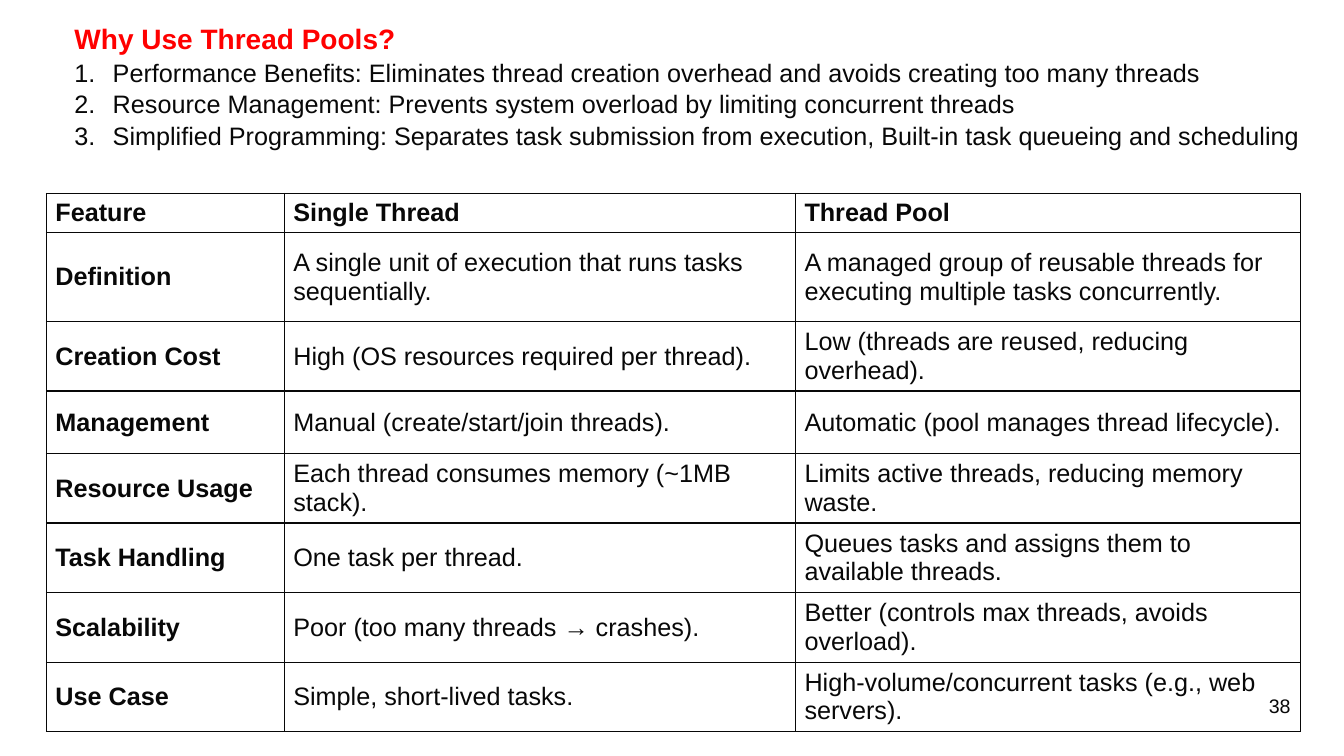
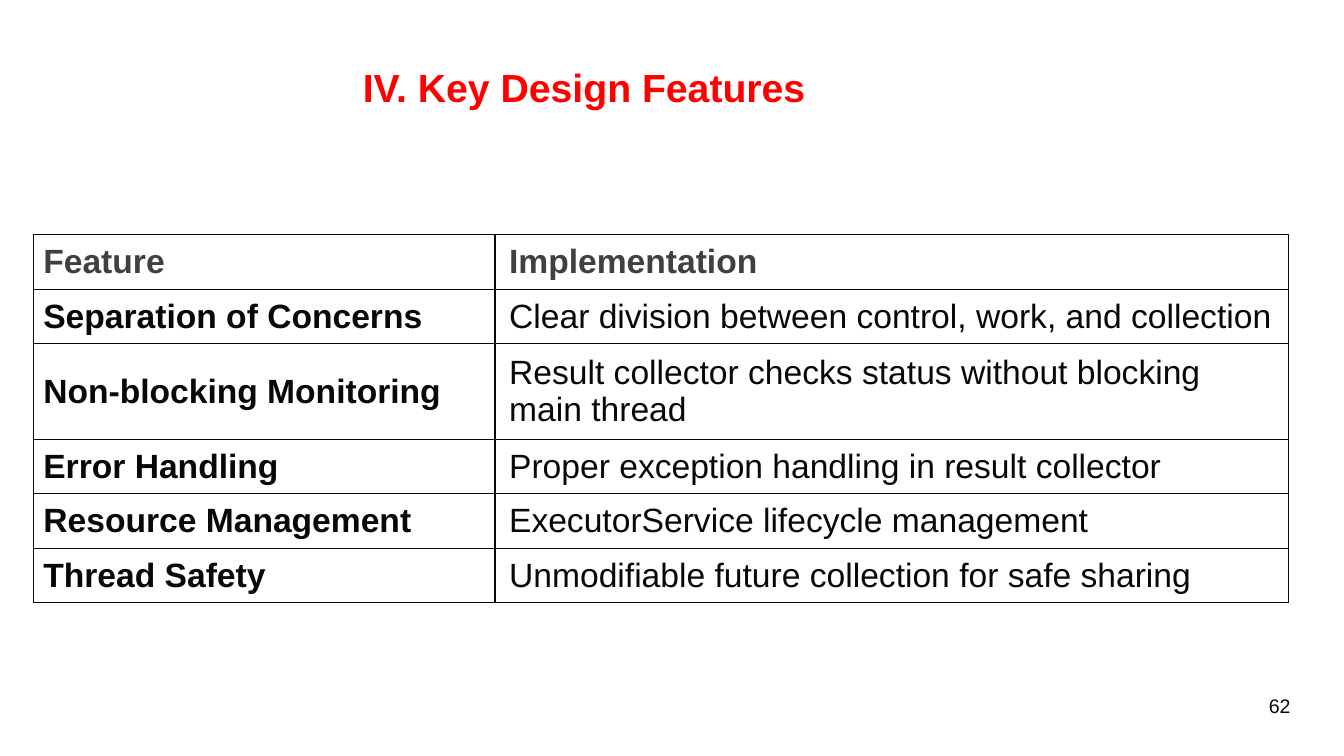
"""Build two slides on thread pools and their design features."""
from lxml.etree import SubElement
from pptx import Presentation
from pptx.dml.color import RGBColor
from pptx.enum.text import MSO_ANCHOR as Anchor, MSO_AUTO_SIZE as AutoSize, PP_ALIGN as Align
from pptx.oxml.ns import qn
from pptx.util import Inches, Pt

WIDTH, HEIGHT = 13.33, 7.5
INK, RED, GREY, WHITE = "080808", "FF0000", "404040", "FFFFFF"
FONT = "Arial"
NUMBER_AREA = (9.56, 6.83, 3.34, 0.52)

REASONS = {
    "area": (0.64, 0.15, 12.44, 1.35),
    "title": "Why Use Thread Pools?",
    "items": [
        "Performance Benefits: Eliminates thread creation overhead and avoids creating too many threads",
        "Resource Management: Prevents system overload by limiting concurrent threads",
        "Simplified Programming: Separates task submission from execution, "
        "Built-in task queueing and scheduling",
    ],
}
COMPARISON = {
    "at": (0.46, 1.92),
    "columns": [2.36, 5.07, 5.01],
    "heights": [0.39, 0.88, 0.69, 0.62] + [0.69] * 4,
    "size": 18,
    "header": INK,
    "margins": [(0.09, 0.04, 0.09, 0.04)] * 3,
    "rows": [
        ("Feature", "Single Thread", "Thread Pool"),
        ("Definition", "A single unit of execution that runs tasks sequentially.",
         "A managed group of reusable threads for executing multiple tasks concurrently."),
        ("Creation Cost", "High (OS resources required per thread).",
         "Low (threads are reused, reducing overhead)."),
        ("Management", "Manual (create/start/join threads).",
         "Automatic (pool manages thread lifecycle)."),
        ("Resource Usage", "Each thread consumes memory (~1MB stack).",
         "Limits active threads, reducing memory waste."),
        ("Task Handling", "One task per thread.",
         "Queues tasks and assigns them to available threads."),
        ("Scalability", "Poor (too many threads → crashes).",
         "Better (controls max threads, avoids overload)."),
        ("Use Case", "Simple, short-lived tasks.",
         "High-volume/concurrent tasks (e.g., web servers)."),
    ],
}
FEATURES_TITLE = ("IV. Key Design Features", (3.5, 0.58, 4.64, 0.57))
FEATURES = {
    "at": (0.33, 2.33),
    "columns": [4.58, 7.87],
    "heights": [0.54, 0.54, 0.95, 0.54, 0.54, 0.54],
    "size": 24,
    "header": GREY,
    "margins": [(0.1, 0.07, 0.14, 0.07), (0.14, 0.07, 0.14, 0.07)],
    "rows": [
        ("Feature", "Implementation"),
        ("Separation of Concerns", "Clear division between control, work, and collection"),
        ("Non-blocking Monitoring", "Result collector checks status without blocking main thread"),
        ("Error Handling", "Proper exception handling in result collector"),
        ("Resource Management", "ExecutorService lifecycle management"),
        ("Thread Safety", "Unmodifiable future collection for safe sharing"),
    ],
}


def colour(value):
    return RGBColor.from_string(value)


def apply(target, values):
    for name, value in values.items():
        setattr(target, name, value)


def write(para, text, size, ink=INK, bold=False):
    span = para.add_run()
    span.text = text
    apply(span.font, {"name": FONT, "size": Pt(size), "bold": bold})
    span.font.color.rgb = colour(ink)


def add_box(page, area, wrap=True):
    frame = page.shapes.add_textbox(*map(Inches, area)).text_frame
    apply(frame, {"word_wrap": wrap, "auto_size": AutoSize.NONE})
    return frame


def add_title(frame, text, size):
    write(frame.paragraphs[0], text, size, RED, True)


def number_item(para):
    props = para._p.get_or_add_pPr()
    apply_indent = {"marL": Inches(0.38), "indent": -Inches(0.38)}
    for name, value in apply_indent.items():
        props.set(name, str(value))
    SubElement(props, qn("a:buFont"), typeface=FONT)
    SubElement(props, qn("a:buAutoNum"), type="arabicPeriod")


def add_borders(cell):
    props = cell._tc.get_or_add_tcPr()
    for index, side in enumerate(("lnL", "lnR", "lnT", "lnB")):
        line = props.makeelement(qn(f"a:{side}"), {"w": str(Pt(1))})
        fill = SubElement(line, qn("a:solidFill"))
        SubElement(fill, qn("a:srgbClr"), val=INK)
        props.insert(index, line)


def add_grid(page, grid):
    rows, columns, heights = grid["rows"], grid["columns"], grid["heights"]
    area = (*grid["at"], sum(columns), sum(heights))
    table = page.shapes.add_table(len(rows), len(columns), *map(Inches, area)).table
    for column, width in zip(table.columns, columns):
        column.width = Inches(width)
    for row, height in zip(table.rows, heights):
        row.height = Inches(height)
    sides = ("margin_left", "margin_top", "margin_right", "margin_bottom")
    for r, texts in enumerate(rows):
        for c, text in enumerate(texts):
            cell = table.cell(r, c)
            apply(cell, dict(zip(sides, map(Inches, grid["margins"][c]))))
            cell.vertical_anchor = Anchor.MIDDLE
            cell.fill.solid()
            cell.fill.fore_color.rgb = colour(WHITE)
            add_borders(cell)
            ink = INK if r else grid["header"]
            write(cell.text_frame.paragraphs[0], text, grid["size"], ink, r == 0 or c == 0)


def add_number(page, number):
    para = add_box(page, NUMBER_AREA).paragraphs[0]
    para.alignment = Align.RIGHT
    write(para, number, 14)


def add_page(deck):
    page = deck.slides.add_slide(deck.slide_layouts[6])
    page.background.fill.solid()
    page.background.fill.fore_color.rgb = colour(WHITE)
    return page


def build_reasons(deck):
    page = add_page(deck)
    frame = add_box(page, REASONS["area"])
    add_title(frame, REASONS["title"], 20)
    for item in REASONS["items"]:
        para = frame.add_paragraph()
        number_item(para)
        write(para, item, 18)
    for para in frame.paragraphs:
        para.line_spacing = 1.05
    add_grid(page, COMPARISON)
    add_number(page, "38")


def build_features(deck):
    page = add_page(deck)
    add_number(page, "62")
    add_grid(page, FEATURES)
    text, area = FEATURES_TITLE
    add_title(add_box(page, area, wrap=False), text, 28)


def main():
    deck = Presentation()
    apply(deck, {"slide_width": Inches(WIDTH), "slide_height": Inches(HEIGHT)})
    build_reasons(deck)
    build_features(deck)
    deck.save("out.pptx")


if __name__ == "__main__":
    main()
